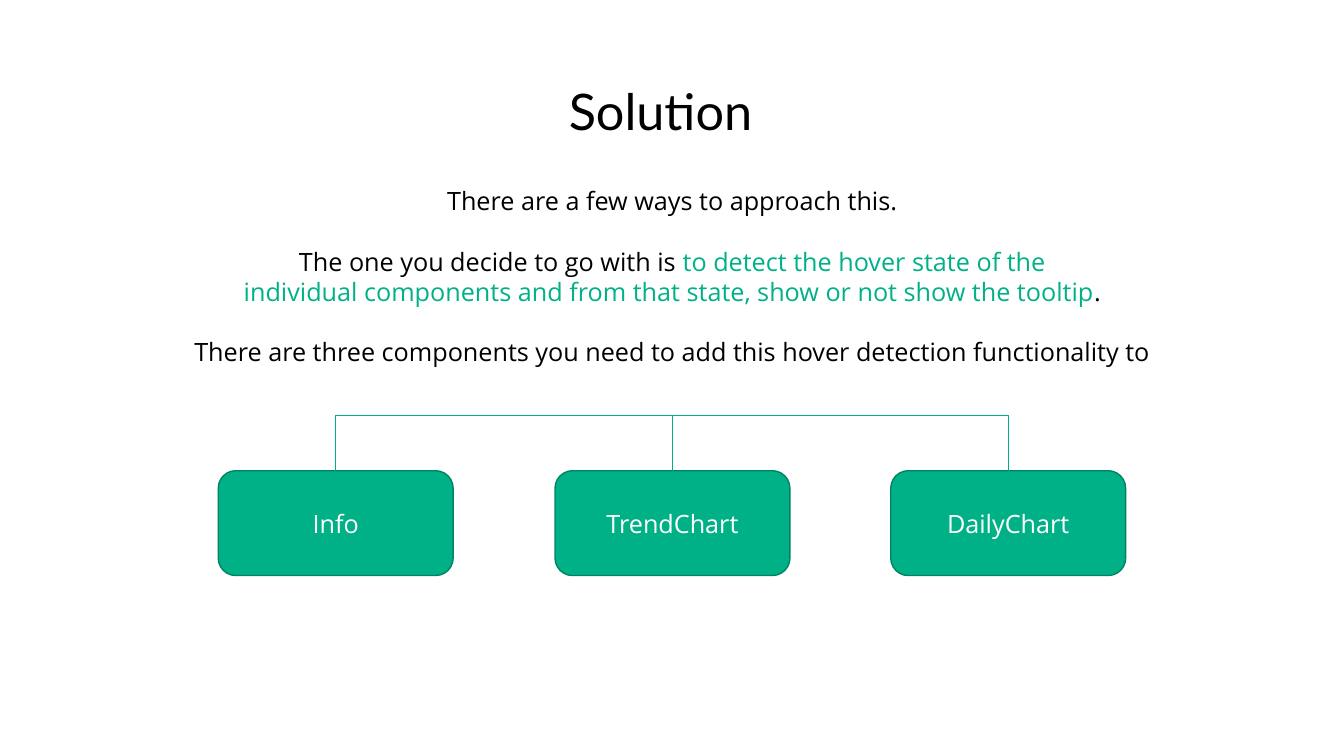
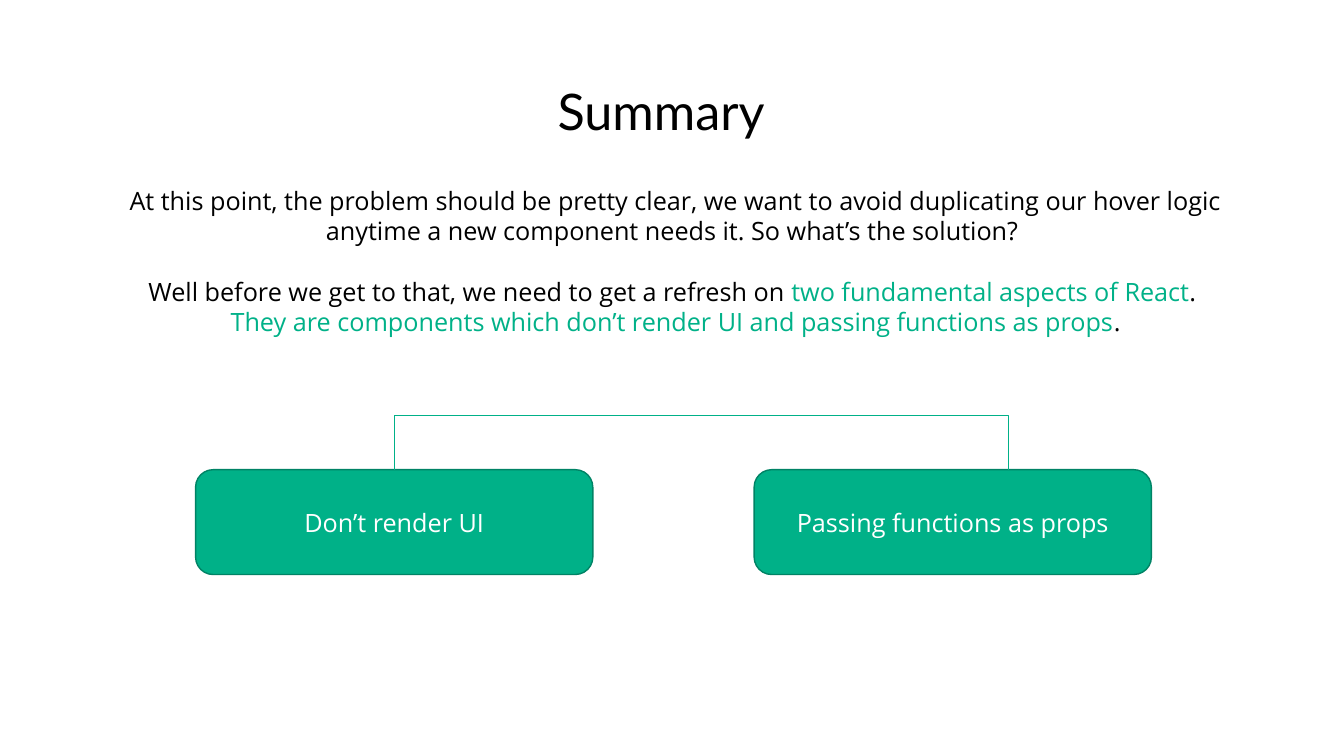
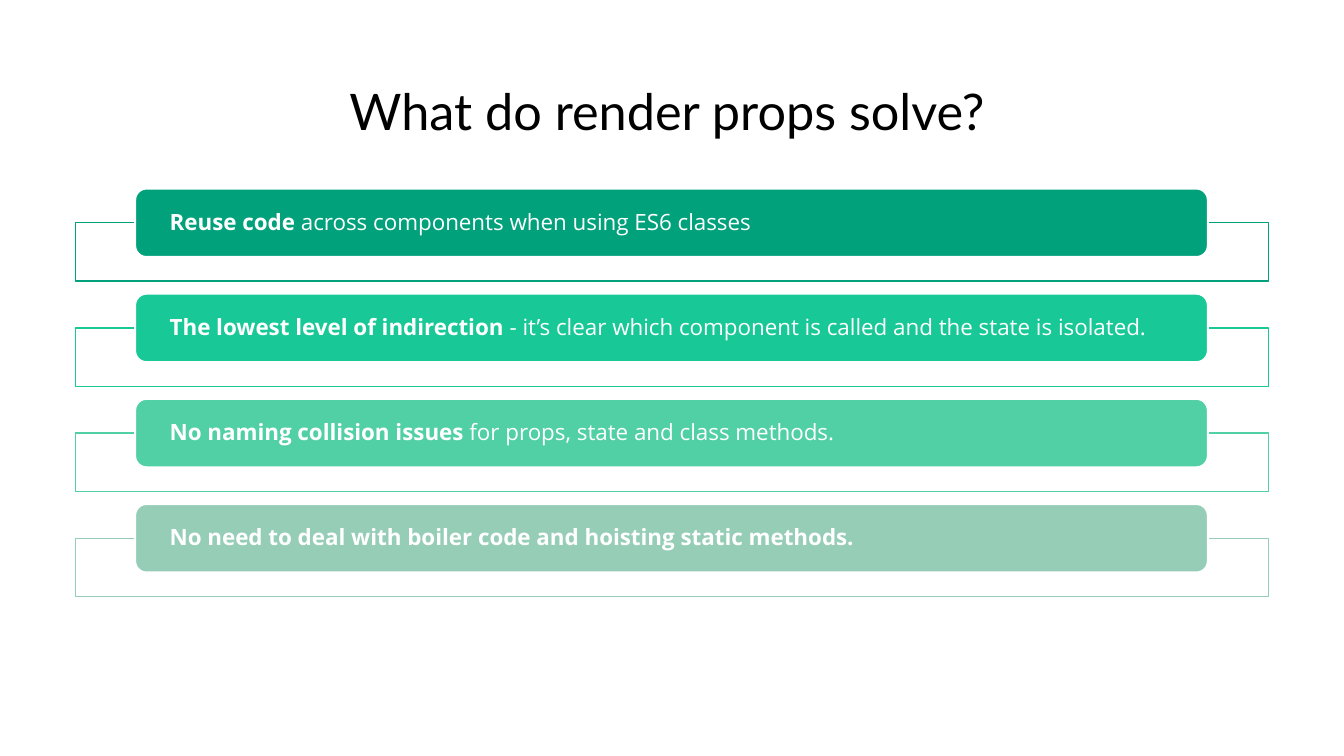
import pptx
import pptx.dml.color
import pptx.enum.shapes
import pptx.enum.text
import pptx.util
from lxml import etree

Inches = pptx.util.Inches
Pt = pptx.util.Pt
SHAPES = pptx.enum.shapes.MSO_SHAPE
CONNECTORS = pptx.enum.shapes.MSO_CONNECTOR
ALIGN = pptx.enum.text.PP_ALIGN
ANCHOR = pptx.enum.text.MSO_ANCHOR


class Theme:
    black, white = "000000", "FFFFFF"
    green, dark_green = "00B188", "008365"
    bar_colors = ["00A17B", "18C997", "52D0A5", "95CDB7"]
    title_font, body_font = "Lato", "Open Sans"
    title_size, body_size, bar_size = 36, 18, 16
    body_leading = Pt(21.6)
    text_margins = (0, 0.05, 0.1, 0.05)


def write(shape, paragraphs, font=Theme.body_font, size=Theme.body_size, color=Theme.black,
          align=ALIGN.CENTER, anchor=ANCHOR.TOP, margins=Theme.text_margins, leading=None):
    """Each paragraph is (space before in points, [(text, color or None, bold), ...])."""
    frame = shape.text_frame
    frame.word_wrap = True
    frame.vertical_anchor = anchor
    frame.margin_left, frame.margin_top, frame.margin_right, frame.margin_bottom = map(Inches, margins)
    for index, (gap, runs) in enumerate(paragraphs):
        paragraph = frame.add_paragraph() if index else frame.paragraphs[0]
        paragraph.alignment = align
        paragraph.space_before = Pt(gap)
        if leading:
            paragraph.line_spacing = leading
        for text, run_color, bold in runs:
            run = paragraph.add_run()
            run.text = text
            run.font.name, run.font.size, run.font.bold = font, Pt(size), bold
            run.font.color.rgb = pptx.dml.color.RGBColor.from_string(run_color or color)


def add_box(slide, kind, left, top, width, height, fill, line, line_width):
    box = slide.shapes.add_shape(kind, Inches(left), Inches(top), Inches(width), Inches(height))
    box.shadow.inherit = False
    box.fill.solid()
    box.fill.fore_color.rgb = pptx.dml.color.RGBColor.from_string(fill)
    box.line.color.rgb = pptx.dml.color.RGBColor.from_string(line)
    box.line.width = Pt(line_width)
    return box


# Content: body paragraphs, box top and width, boxes as (label, centre, branch start, branch end)
gap = Theme.body_leading.pt
middle = 6.67
tree_slides = [
    ("Solution ", [
        (0, [("There are a few ways to approach this. ", None, False)]),
        (gap, [("The one you decide to go with is ", None, False),
               ("to detect the hover state of the ", Theme.green, False)]),
        (0, [("individual components and from that state, show or not show the tooltip", Theme.green, False),
             (". ", None, False)]),
        (gap, [("There are three components you need to add this hover detection functionality to ",
                None, False)]),
    ], 4.67, 2.33, [("Info", 3.33, 3.33, 3.33), ("TrendChart", middle, 3.33, middle),
                    ("DailyChart", 10, middle, 10)]),
    ("Summary ", [
        (0, [("At this point, the problem should be pretty clear, we want to avoid duplicating our hover "
              "logic anytime a new component needs it. So what’s the solution? ", None, False)]),
        (gap, [("Well before we get to that, we need to get a refresh on ", None, False),
               ("two fundamental aspects of React", Theme.green, False), (". ", None, False)]),
        (0, [("They are components which don’t render UI and passing functions as props", Theme.green, False),
             (".", None, False)]),
    ], 4.66, 3.94, [("Don’t render UI", 3.91, 3.91, 3.91),
                    ("Passing functions as props", 9.45, middle, 10)]),
]
benefits_title = "What do render props solve?"
benefits = [
    ("Reuse code", " across components when using ES6 classes"),
    ("The lowest level of indirection", " - it’s clear which component is called and the state is isolated."),
    ("No naming collision issues ", "for props, state and class methods."),
    ("No need to deal with boiler code and hoisting static methods.", ""),
]

deck = pptx.Presentation()
deck.slide_width, deck.slide_height = Inches(13.33), Inches(7.5)

# Slides with their titles
slides = []
for title_text in [content[0] for content in tree_slides] + [benefits_title]:
    slide = deck.slides.add_slide(deck.slide_layouts[6])
    title = slide.shapes.add_textbox(Inches(0.75), Inches(0.75), Inches(11.83), Inches(0.8))
    write(title, [(0, [(title_text, None, False)])], font=Theme.title_font, size=Theme.title_size)
    slides.append(slide)

# Solution and Summary: body text above a tree of boxes
rail_y, box_height = 4.12, 1.04
for slide, (_, paragraphs, box_top, box_width, boxes) in zip(slides, tree_slides):
    body = slide.shapes.add_textbox(Inches(1.15), Inches(1.79), Inches(11.2), Inches(2.2))
    write(body, paragraphs, leading=Theme.body_leading)

    branches = []
    for label, centre, start_x, end_x in boxes:
        box = add_box(slide, SHAPES.ROUNDED_RECTANGLE, centre - box_width / 2, box_top, box_width,
                      box_height, Theme.green, Theme.dark_green, 1)
        write(box, [(0, [(label, None, False)])], color=Theme.white, anchor=ANCHOR.MIDDLE,
              margins=(0.1, 0.05, 0.1, 0.05))
        branches.append((start_x, end_x, box_top, box if start_x == end_x else None))
    # With two boxes, a straight rail leads from the first drop to the middle
    if len(boxes) == 2:
        branches.append((boxes[0][3], middle, rail_y, None))

    for start_x, end_x, end_y, joined_box in branches:
        bent = start_x != end_x and end_y != rail_y
        branch = slide.shapes.add_connector(CONNECTORS.ELBOW if bent else CONNECTORS.STRAIGHT,
                                            Inches(start_x), Inches(rail_y), Inches(end_x), Inches(end_y))
        if bent:
            branch._element.spPr.find(pptx.oxml.ns.qn("a:prstGeom")).set("prst", "bentConnector2")
        if joined_box is not None:
            branch.end_connect(joined_box, 0)
        branch.line.color.rgb = pptx.dml.color.RGBColor.from_string(Theme.green)
        branch.line.width = Pt(0.5)
        etree.SubElement(branch._element.spPr, pptx.oxml.ns.qn("a:effectLst"))

# Render props: one bar over an outlined frame for each benefit
first_bar_top, last_bar_top = 1.87, 5
bar_step = (last_bar_top - first_bar_top) / (len(benefits) - 1)
for index, ((lead, rest), color) in enumerate(zip(benefits, Theme.bar_colors)):
    bar_top = first_bar_top + index * bar_step
    add_box(slides[-1], SHAPES.RECTANGLE, 0.75, bar_top + 0.34, 11.83, 0.58, Theme.white, color, 1)
    bar = add_box(slides[-1], SHAPES.ROUNDED_RECTANGLE, 1.34, bar_top, 10.64, 0.68,
                  color, Theme.white, 1.5)
    runs = [(lead, None, True)] + ([(rest, None, False)] if rest else [])
    write(bar, [(0, runs)], size=Theme.bar_size, color=Theme.white, align=ALIGN.LEFT,
          anchor=ANCHOR.MIDDLE, margins=(0.31, 0, 0.31, 0), leading=0.9)

deck.save("out.pptx")
